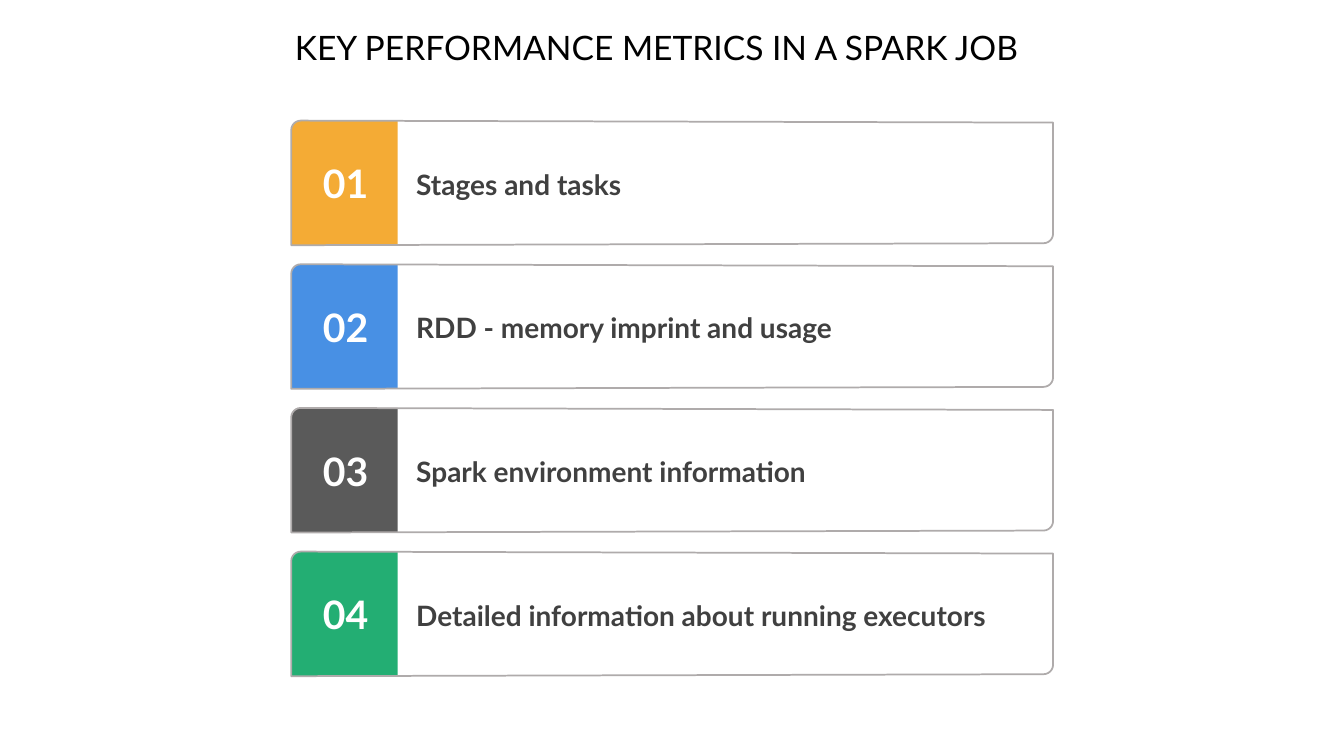
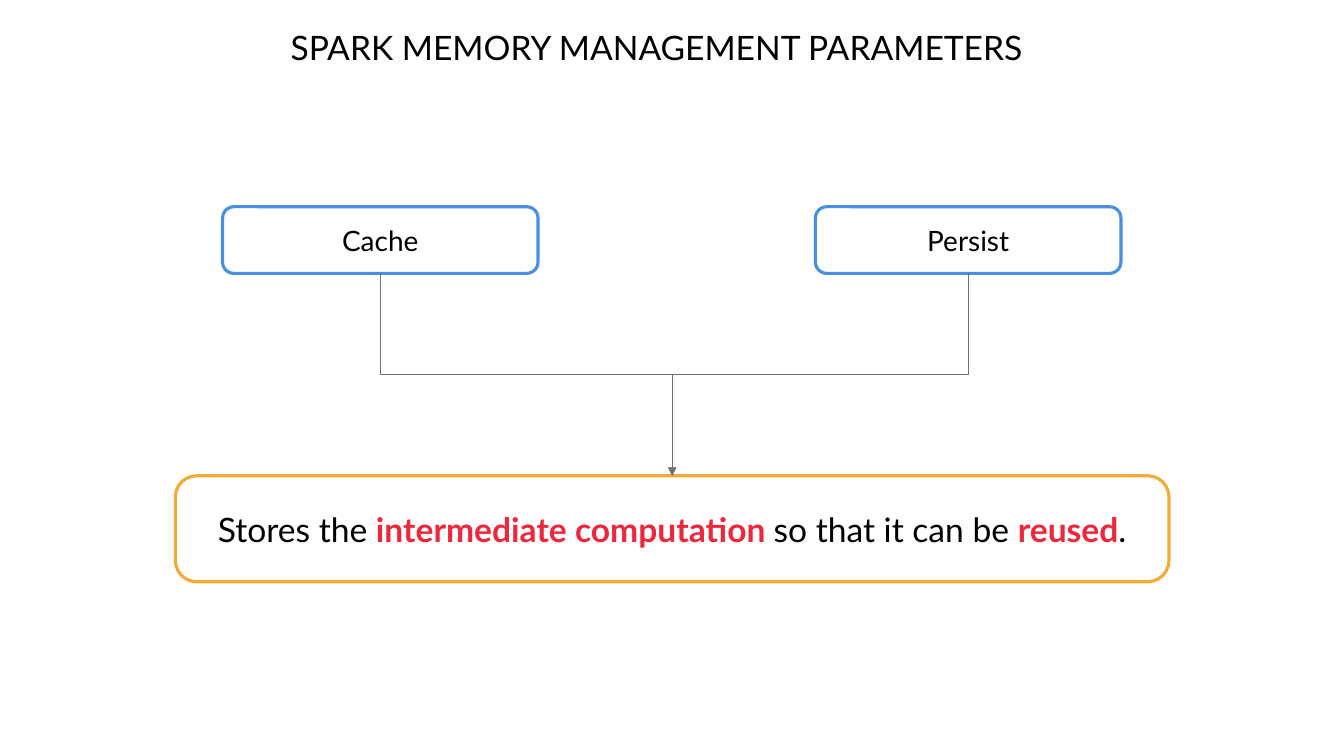
"""Build two slides on Spark job metrics and memory parameters."""
from math import cos, radians, sin

from lxml import etree
from pptx import Presentation
from pptx.dml.color import RGBColor
from pptx.enum.shapes import MSO_CONNECTOR, MSO_SHAPE
from pptx.enum.text import MSO_ANCHOR, MSO_AUTO_SIZE, PP_ALIGN
from pptx.oxml.ns import qn
from pptx.util import Cm, Pt

BLACK = RGBColor(0x00, 0x00, 0x00)
WHITE = RGBColor(0xFF, 0xFF, 0xFF)
DARK = RGBColor(0x40, 0x40, 0x40)
GREY = RGBColor(0x76, 0x71, 0x71)
EDGE = RGBColor(0xAF, 0xAB, 0xAB)
SLATE = RGBColor(0x5A, 0x5A, 0x5A)
GOLD = RGBColor(0xF4, 0xAB, 0x35)
BLUE = RGBColor(0x48, 0x90, 0xE4)
GREEN = RGBColor(0x23, 0xAE, 0x73)
RED = RGBColor(0xEE, 0x28, 0x3C)

TITLES = ("KEY PERFORMANCE METRICS IN A SPARK JOB",
          "SPARK MEMORY MANAGEMENT PARAMETERS")
CARDS = (("Stages and tasks", GOLD),
         ("RDD - memory imprint and usage", BLUE),
         ("Spark environment information", SLATE),
         ("Detailed information about running executors", GREEN))
CALLS = (("Cache", 5.61, 7.95), ("Persist", 20.55, 7.7))
RESULT = (("Stores the ", False), ("intermediate computation ", True),
          ("so that it can be ", False), ("reused", True), (".", False))

LEFT, TOP, PITCH = 7.34, 3.04, 3.62
WIDE, HIGH, TILE, ROUND, SKEW = 19.2, 3.14, 2.68, 0.24, 0.05

PLAIN = {"name": "Lato", "size": Pt(24), "bold": False}
LABEL = PLAIN | {"size": Pt(20)}
STRONG = LABEL | {"bold": True}
NUMBER = STRONG | {"size": Pt(28)}


def set_all(thing, values):
    for name, value in values.items():
        setattr(thing, name, value)


def write(shape, runs, style, align=PP_ALIGN.CENTER,
          anchor=MSO_ANCHOR.MIDDLE, inset=None):
    frame = shape.text_frame
    set_all(frame, {"word_wrap": True, "auto_size": MSO_AUTO_SIZE.NONE,
                    "vertical_anchor": anchor})
    if inset is not None:
        for side in ("left", "top", "right", "bottom"):
            setattr(frame, f"margin_{side}", Cm(inset))
    line = frame.paragraphs[0]
    line.alignment = align
    for text, color, bold in runs:
        run = line.add_run()
        run.text = text
        set_all(run.font, style | {"bold": bold or style["bold"]})
        run.font.color.rgb = color
    return line


def paint(shape, fill=None, line=None, width=1.25):
    shape.shadow.inherit = False
    if fill is None:
        shape.fill.background()
    else:
        shape.fill.solid()
        shape.fill.fore_color.rgb = fill
    if line is None:
        shape.line.fill.background()
    else:
        shape.line.color.rgb = line
        shape.line.width = Pt(width)


def start(deck, text):
    slide = deck.slides.add_slide(deck.slide_layouts[5])
    title = slide.shapes.title
    set_all(title, {"left": Cm(2.97), "top": Cm(0.56),
                    "width": Cm(27.15), "height": Cm(1.45)})
    title.fill.solid()
    title.fill.fore_color.rgb = WHITE
    write(title, [(text, BLACK, False)], PLAIN, anchor=MSO_ANCHOR.TOP)
    return slide.shapes


def arc(x, y, first):
    angles = [radians(first + step) for step in range(0, 91, 15)]
    return [(x + ROUND * cos(a), y + ROUND * sin(a)) for a in angles]


def outline(shapes, points, top):
    spots = [(Cm(x), Cm(y)) for x, y in points]
    pen = shapes.build_freeform(*spots[0])
    pen.add_line_segments(spots[1:], close=True)
    return pen.convert_to_shape(Cm(LEFT), Cm(top))


def add_card(shapes, index, text, color):
    top = TOP + index * PITCH
    group = shapes.add_group_shape().shapes
    corner = arc(ROUND, ROUND, 180)
    tile = corner + [(TILE, 0), (TILE, HIGH), (0, HIGH)]
    border = (corner + [(WIDE, SKEW)]
              + arc(WIDE - ROUND, HIGH - SKEW - ROUND, 0) + [(0, HIGH)])
    paint(outline(group, tile, top), fill=color)
    paint(outline(group, border, top), line=EDGE)
    box = group.add_textbox(Cm(LEFT + 0.03), Cm(top + 0.85), Cm(TILE), Cm(1.45))
    write(box, [(f"{index + 1:02}", WHITE, True)], NUMBER)
    box = group.add_textbox(Cm(LEFT + 2.9), Cm(top + 0.62), Cm(15.88), Cm(1.9))
    line = write(box, [(text, DARK, True)], STRONG, align=PP_ALIGN.LEFT)
    set_all(line, {"line_spacing": 1.07, "space_after": Pt(2)})


def add_box(shapes, place, color, bend=0.17):
    box = shapes.add_shape(MSO_SHAPE.ROUNDED_RECTANGLE, *map(Cm, place))
    box.adjustments[0] = bend
    paint(box, line=color, width=2.25)
    return box


def join(shapes, source, target):
    x1, y1 = source.left + source.width // 2, source.top + source.height
    x2, y2 = target.left + target.width // 2, target.top
    link = shapes.add_connector(MSO_CONNECTOR.ELBOW, x1, y1, x2, y2)
    link.begin_connect(source, 2)
    link.end_connect(target, 0)
    drop, span = y2 - y1, abs(x2 - x1)
    props = link._element.spPr
    frame = props.find(qn("a:xfrm"))
    for flip in ("flipH", "flipV"):
        frame.attrib.pop(flip, None)
    set_all(link, {"left": (x1 + x2 - drop) // 2, "top": (y1 + y2 - span) // 2,
                   "width": drop, "height": span})
    right = x2 > x1
    frame.set("rot", str((270 if right else 90) * 60000))
    if right:
        frame.set("flipH", "1")
    link.line.color.rgb = GREY
    link.line.width = Pt(0.75)
    etree.SubElement(props.find(qn("a:ln")), qn("a:tailEnd"), type="triangle")
    etree.SubElement(props, qn("a:effectLst"))


def main():
    deck = Presentation()
    set_all(deck, {"slide_width": Cm(33.87), "slide_height": Cm(19.05)})

    shapes = start(deck, TITLES[0])
    for index, (text, color) in enumerate(CARDS):
        add_card(shapes, index, text, color)

    shapes = start(deck, TITLES[1])
    store = add_box(shapes, (4.42, 11.99, 25.04, 2.67), GOLD, 0.2)
    runs = [(text, RED if key else BLACK, key) for text, key in RESULT]
    write(store, runs, PLAIN, inset=0.25)
    for text, left, width in CALLS:
        box = add_box(shapes, (left, 5.21, width, 1.68), BLUE)
        write(box, [(text, BLACK, False)], LABEL, inset=0.33)
        join(shapes, box, store)

    deck.save("out.pptx")


if __name__ == "__main__":
    main()
